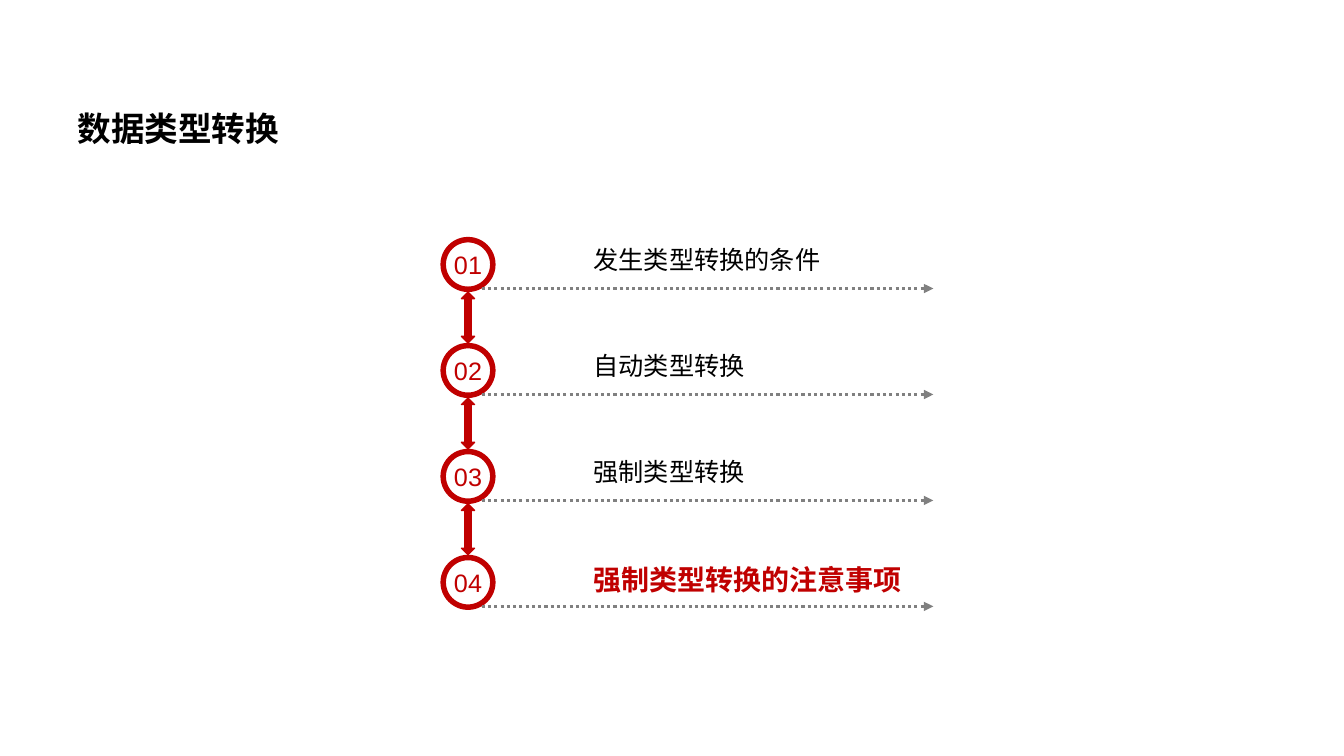
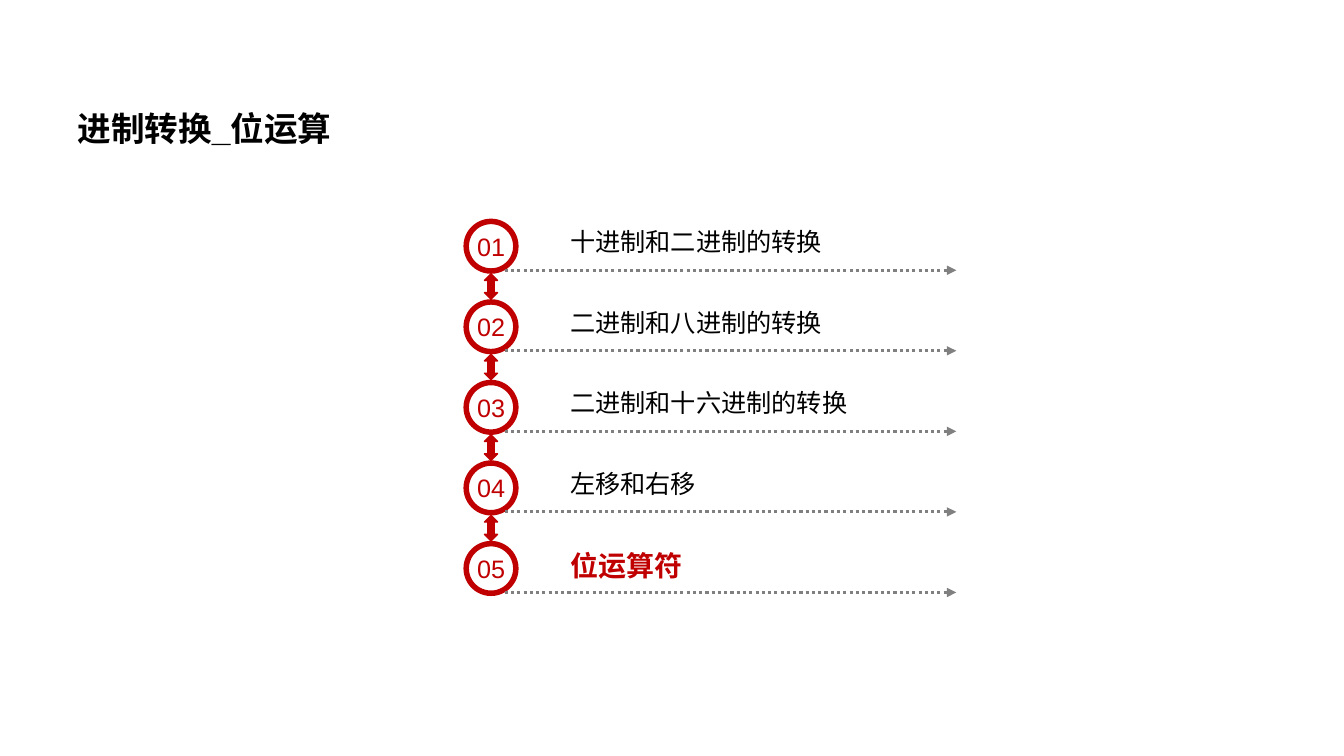
from pptx import Presentation, util as u
from pptx.dml.color import RGBColor
from pptx.enum import dml, shapes, text
from pptx.oxml import ns, xmlchemy

# Shared look
RED = RGBColor(0xC0, 0x00, 0x00)
BLACK = RGBColor(0x00, 0x00, 0x00)
GREY = RGBColor(0x80, 0x80, 0x80)
TITLE_FONT = {"name": "Arial", "size": u.Pt(24), "bold": True}
NUMBER_FONT = {"name": "Arial", "size": u.Pt(18), "bold": False}
TOPIC_FONT = {"name": "Arial", "size": u.Pt(18), "bold": False}
CURRENT_FONT = {"name": "Arial", "size": u.Pt(20), "bold": True}

# Measures of one agenda row, from the top left corner of its ring
RING = u.Cm(1.39)
RING_THICKNESS = 0.1
ARROW_WIDTH = u.Cm(0.33)
RULE_OFFSET = u.Cm(1.04)
RULE_DROP = u.Cm(1.3)
RULE_LENGTH = u.Cm(11.38)
TOPIC_DROP = u.Cm(0.07)
TOPIC_WIDTH = u.Cm(10.06)
TOPIC_HEIGHT = u.Cm(1.02)

# The last topic of each agenda is the current one
AGENDAS = [
    {
        "title": "数据类型转换",
        "topics": ["发生类型转换的条件", "自动类型转换", "强制类型转换",
                   "强制类型转换的注意事项"],
        "left": u.Cm(11.1), "top": u.Cm(5.97), "pitch": u.Cm(2.67),
        "topic_left": u.Cm(14.71),
    },
    {
        "title": "进制转换_位运算",
        "topics": ["十进制和二进制的转换", "二进制和八进制的转换",
                   "二进制和十六进制的转换", "左移和右移", "位运算符"],
        "left": u.Cm(11.68), "top": u.Cm(5.51), "pitch": u.Cm(2.03),
        "topic_left": u.Cm(14.12),
    },
]


def write(frame, words, font, color, **frame_format):
    """Put one formatted paragraph into a text frame."""
    for key, value in frame_format.items():
        setattr(frame, key, value)
    paragraph = frame.paragraphs[0]
    run = paragraph.add_run()
    run.text = words
    for key, value in font.items():
        setattr(run.font, key, value)
    run.font.color.rgb = color
    return paragraph


def set_title(slide, words):
    title = slide.shapes.title
    place = {"left": u.Cm(1.7), "top": u.Cm(2.08),
             "width": u.Cm(29.82), "height": u.Cm(2.1)}
    for key, value in place.items():
        setattr(title, key, value)
    paragraph = write(title.text_frame, words, TITLE_FONT, BLACK,
                      word_wrap=True, auto_size=text.MSO_AUTO_SIZE.NONE,
                      vertical_anchor=text.MSO_ANCHOR.TOP)
    paragraph.alignment = text.PP_ALIGN.LEFT
    paragraph.line_spacing = 1.5


def add_red_shape(slide, preset, left, top, width, height):
    shape = slide.shapes.add_shape(preset, left, top, width, height)
    shape.shadow.inherit = False
    shape.fill.solid()
    shape.fill.fore_color.rgb = RED
    return shape


def add_ring(slide, number, left, top):
    ring = add_red_shape(slide, shapes.MSO_SHAPE.DONUT, left, top, RING, RING)
    ring.adjustments[0] = RING_THICKNESS
    ring.line.fill.background()
    paragraph = write(ring.text_frame, f"{number:02d}", NUMBER_FONT, RED,
                      word_wrap=False, vertical_anchor=text.MSO_ANCHOR.MIDDLE,
                      margin_left=0, margin_right=0,
                      margin_top=0, margin_bottom=0)
    paragraph.alignment = text.PP_ALIGN.CENTER


def add_link_arrow(slide, ring_left, ring_top, gap):
    """Double arrow that fills the gap below a ring."""
    arrow = add_red_shape(slide, shapes.MSO_SHAPE.UP_DOWN_ARROW,
                          ring_left + (RING - ARROW_WIDTH) // 2,
                          ring_top + RING, ARROW_WIDTH, gap)
    arrow.line.color.rgb = RED
    arrow.line.width = u.Pt(1)


def add_rule(slide, left, top):
    """Dotted line with an arrowhead at its right end."""
    rule = slide.shapes.add_connector(shapes.MSO_CONNECTOR.STRAIGHT,
                                      left, top, left + RULE_LENGTH, top)
    rule.line.color.rgb = GREY
    rule.line.width = u.Pt(2.25)
    rule.line.dash_style = dml.MSO_LINE.ROUND_DOT
    properties = rule.element.spPr
    head = xmlchemy.OxmlElement("a:tailEnd")
    head.set("type", "triangle")
    properties.find(ns.qn("a:ln")).append(head)
    properties.append(xmlchemy.OxmlElement("a:effectLst"))


def add_topic(slide, words, left, top, is_current):
    topic = slide.shapes.add_textbox(left, top, TOPIC_WIDTH, TOPIC_HEIGHT)
    font, color = (CURRENT_FONT, RED) if is_current else (TOPIC_FONT, BLACK)
    write(topic.text_frame, words, font, color, word_wrap=True)


def add_agenda(slide, agenda):
    left, pitch = agenda["left"], agenda["pitch"]
    last = len(agenda["topics"])
    for number, words in enumerate(agenda["topics"], start=1):
        top = agenda["top"] + (number - 1) * pitch
        add_ring(slide, number, left, top)
        add_rule(slide, left + RULE_OFFSET, top + RULE_DROP)
        add_topic(slide, words, agenda["topic_left"], top + TOPIC_DROP,
                  number == last)
        if number < last:
            add_link_arrow(slide, left, top, pitch - RING)


def main():
    deck = Presentation()
    deck.slide_width, deck.slide_height = u.Cm(33.87), u.Cm(19.05)
    title_only = deck.slide_layouts[5]
    for agenda in AGENDAS:
        slide = deck.slides.add_slide(title_only)
        set_title(slide, agenda["title"])
        add_agenda(slide, agenda)
    deck.save("out.pptx")


if __name__ == "__main__":
    main()
